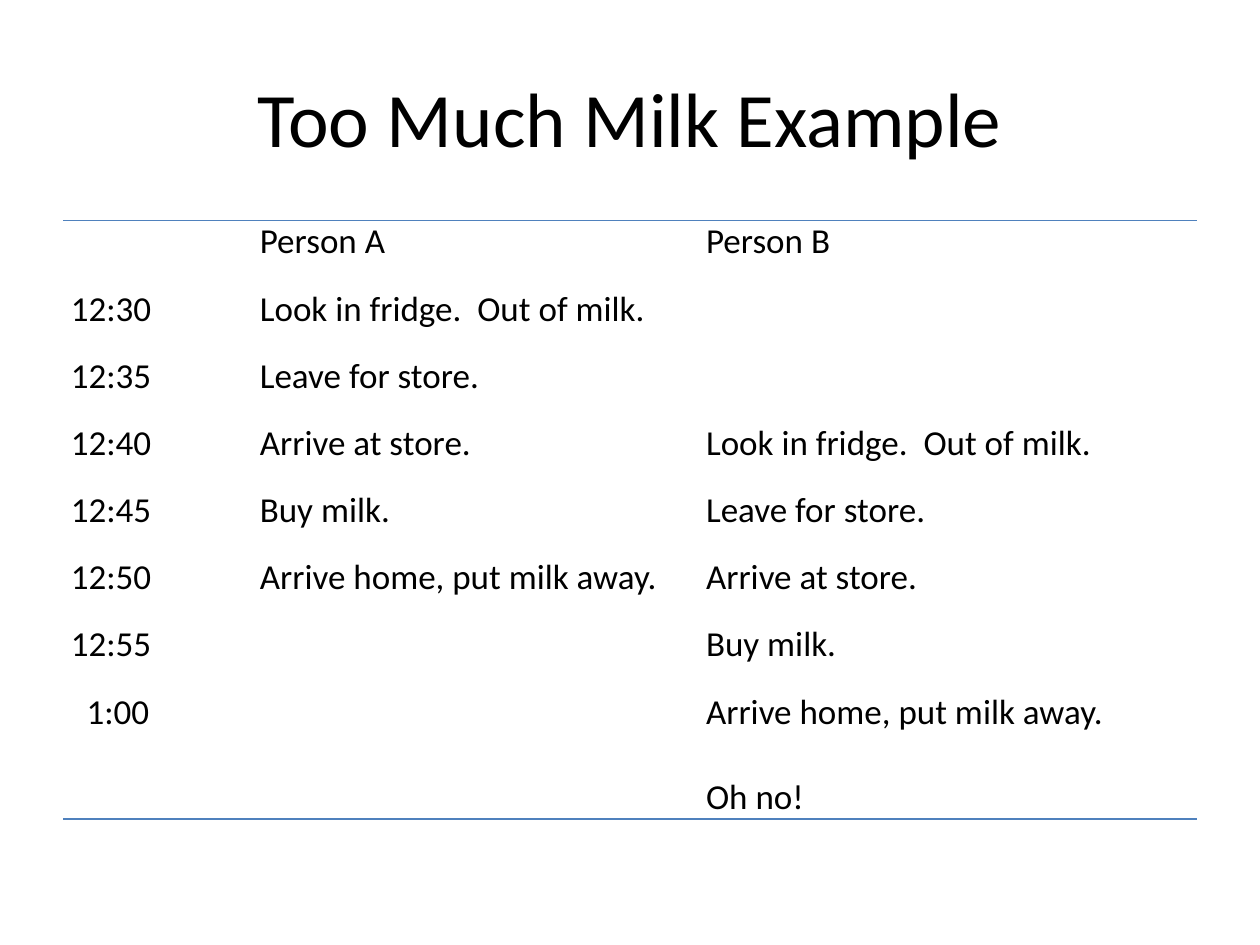
from pptx import Presentation
from pptx.dml.color import RGBColor
from pptx.enum.text import MSO_ANCHOR as Anchor, PP_ALIGN as Align
from pptx.oxml import parse_xml
from pptx.oxml.ns import nsdecls, qn
from pptx.util import Pt

PLAIN = "{2D5ABB26-0587-4C30-8999-92F81FD0307C}"
ROWS = [
    ("", "Person A", "Person B"),
    ("12:30", "Look in fridge.  Out of milk.", ""),
    ("12:35", "Leave for store.", ""),
    ("12:40", "Arrive at store.", "Look in fridge.  Out of milk."),
    ("12:45", "Buy milk.", "Leave for store."),
    ("12:50", "Arrive home, put milk away.", "Arrive at store."),
    ("12:55", "", "Buy milk."),
    ("1:00", "", "Arrive home, put milk away."),
]


def color(code):
    return RGBColor.from_string(code)


class Deck:
    """Holds the style and the current slide."""

    font, ink, rule = "Calibri", "000000", "4F81BD"

    def __init__(self, width, height):
        self.prs = Presentation()
        self.prs.slide_width, self.prs.slide_height = Pt(width), Pt(height)
        self.slide = self.prs.slides.add_slide(self.prs.slide_layouts[5])

    def add_text(self, para, text, size):
        run = para.add_run()
        run.text = text
        run.font.name, run.font.size = self.font, Pt(size)
        run.font.color.rgb = color(self.ink)

    def title(self, text, x, y, w, h, size=44):
        shape = self.slide.shapes.title
        shape.left, shape.top, shape.width, shape.height = map(Pt, (x, y, w, h))
        frame = shape.text_frame
        frame.vertical_anchor = Anchor.MIDDLE
        para = frame.paragraphs[0]
        para.alignment = Align.CENTER
        self.add_text(para, text, size)

    def table(self, rows, x, y, widths, heights, size=20):
        frame = self.slide.shapes.add_table(
            len(rows), len(widths), Pt(x), Pt(y), Pt(sum(widths)), Pt(sum(heights)))
        table = frame.table
        table.first_row = table.horz_banding = False
        table._tbl.tblPr.find(qn("a:tableStyleId")).text = PLAIN
        for col, width in zip(table.columns, widths):
            col.width = Pt(width)
        for row, height, texts in zip(table.rows, heights, rows):
            row.height = Pt(height)
            for cell, text in zip(row.cells, texts):
                cell.fill.background()
                cell.margin_left = cell.margin_right = Pt(4.5)
                cell.margin_top = cell.margin_bottom = 0
                if text:
                    self.add_text(cell.text_frame.paragraphs[0], text, size)
        for row, side in ((0, "lnT"), (len(rows) - 1, "lnB")):
            for cell in table.rows[row].cells:
                self.border(cell, side)
        return table

    def border(self, cell, side, width=1):
        line = parse_xml(
            f'<a:{side} {nsdecls("a")} w="{Pt(width)}"><a:solidFill>'
            f'<a:srgbClr val="{self.rule}"/></a:solidFill></a:{side}>')
        cell._tc.get_or_add_tcPr().insert(0, line)

    def add_para(self, cell, text, gap, size=20):
        para = cell.text_frame.add_paragraph()
        para.space_before = Pt(gap)
        self.add_text(para, text, size)

    def indent(self, cell, left):
        props = cell.text_frame.paragraphs[0]._p.get_or_add_pPr()
        props.set("marL", str(Pt(left)))


def main():
    deck = Deck(720, 540)
    deck.title("Too Much Milk Example", 36, 21.6, 648, 90)
    table = deck.table(ROWS, 36, 126, [108, 255, 285], [38.4] * 7 + [73.2])
    last = len(ROWS) - 1
    deck.indent(table.cell(last, 0), 9)
    deck.add_para(table.cell(last, 2), "Oh no!", 24.4)
    deck.prs.save("out.pptx")


if __name__ == "__main__":
    main()
